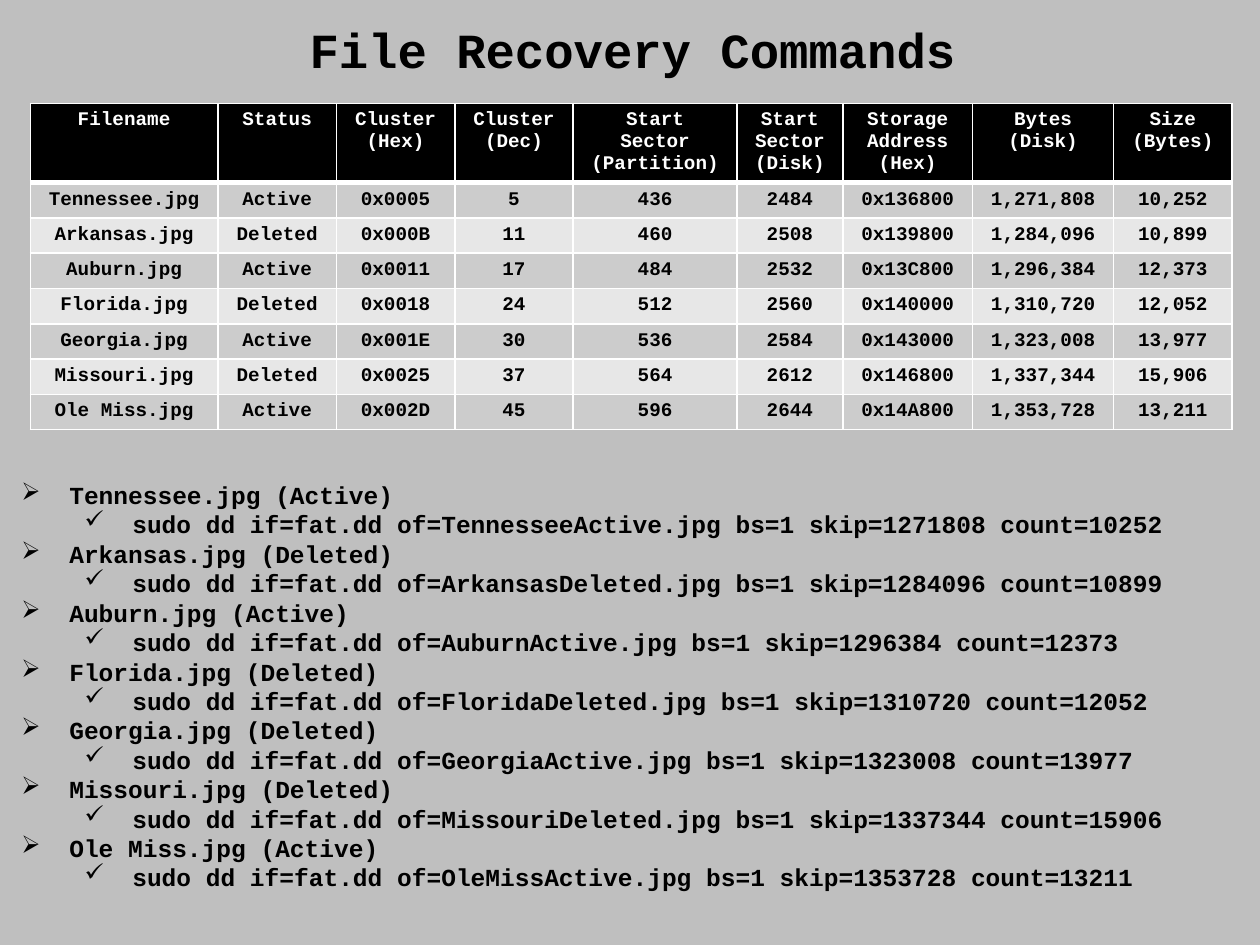
from dataclasses import dataclass

from lxml import etree
from pptx import Presentation
from pptx import util as u
from pptx.dml.color import RGBColor
from pptx.enum import text
from pptx.oxml import ns


@dataclass(frozen=True)
class Theme:
    font: str = "Courier New"
    background: str = "BFBFBF"
    ink: str = "000000"
    paper: str = "FFFFFF"
    bands: tuple = ("CCCCCC", "E7E7E7")
    title_size: int = 28
    body_size: int = 14
    table_size: int = 11
    thin: int = 1
    thick: int = 3


HEADERS = ["Filename", "Status", "Cluster\n(Hex)", "Cluster\n(Dec)",
           "Start\nSector\n(Partition)", "Start\nSector\n(Disk)",
           "Storage\nAddress\n(Hex)", "Bytes\n(Disk)", "Size\n(Bytes)"]
FILES = [
    ["Tennessee.jpg", "Active", "0x0005", "5", "436", "2484", "0x136800", "1,271,808", "10,252"],
    ["Arkansas.jpg", "Deleted", "0x000B", "11", "460", "2508", "0x139800", "1,284,096", "10,899"],
    ["Auburn.jpg", "Active", "0x0011", "17", "484", "2532", "0x13C800", "1,296,384", "12,373"],
    ["Florida.jpg", "Deleted", "0x0018", "24", "512", "2560", "0x140000", "1,310,720", "12,052"],
    ["Georgia.jpg", "Active", "0x001E", "30", "536", "2584", "0x143000", "1,323,008", "13,977"],
    ["Missouri.jpg", "Deleted", "0x0025", "37", "564", "2612", "0x146800", "1,337,344", "15,906"],
    ["Ole Miss.jpg", "Active", "0x002D", "45", "596", "2644", "0x14A800", "1,353,728", "13,211"],
]
COLUMN_WIDTHS = [1.49, 0.94, 0.94, 0.94, 1.3, 0.84, 1.03, 1.12, 0.94]
HEADER_HEIGHT, ROW_HEIGHT = 0.63, 0.28
# The list labels this file differently from the table
LABEL_STATUS = {"Georgia.jpg": "Deleted"}
# Wingdings arrow and check mark, with the left margin of each level
BULLETS = [("Ø", 0.38), ("ü", 0.88)]
HANGING = 0.38


def command_lines():
    """Yield (level, line): a label and its dd command for each file."""
    for row in FILES:
        name, status, skip, count = row[0], row[1], row[-2], row[-1]
        target = name.replace(" ", "").replace(".jpg", f"{status}.jpg")
        yield 0, f"{name} ({LABEL_STATUS.get(name, status)})"
        yield 1, (f"sudo dd if=fat.dd of={target} bs=1 "
                  f"skip={skip.replace(',', '')} count={count.replace(',', '')}")


class SlideBuilder:
    def __init__(self, deck, theme):
        self.theme = theme
        self.slide = deck.slides.add_slide(deck.slide_layouts[1])
        fill = self.slide.background.fill
        fill.solid()
        fill.fore_color.rgb = RGBColor.from_string(theme.background)

    def style(self, para, size, color, align):
        para.alignment = align
        for font in [para.font] + [span.font for span in para.runs]:
            font.name = self.theme.font
            font.size = u.Pt(size)
            font.bold = True
            font.color.rgb = RGBColor.from_string(color)

    def place(self, box, left, top, width, height, anchor):
        box.left, box.top = u.Inches(left), u.Inches(top)
        box.width, box.height = u.Inches(width), u.Inches(height)
        frame = box.text_frame
        frame.word_wrap = True
        frame.auto_size = text.MSO_AUTO_SIZE.NONE
        frame.vertical_anchor = anchor
        return frame

    def title(self, wording, *area):
        frame = self.place(self.slide.shapes.title, *area, text.MSO_ANCHOR.MIDDLE)
        frame.text = wording
        self.style(frame.paragraphs[0], self.theme.title_size, self.theme.ink,
                   text.PP_ALIGN.CENTER)

    def bullet_list(self, lines, *area):
        frame = self.place(self.slide.placeholders[1], *area, text.MSO_ANCHOR.TOP)
        lines = list(lines)
        frame.text = "\n".join(line for _, line in lines)
        for para, (level, _) in zip(frame.paragraphs, lines):
            para.level = level
            para.space_before = para.space_after = u.Pt(0)
            self.bullet(para, *BULLETS[level])
            self.style(para, self.theme.body_size, self.theme.ink, text.PP_ALIGN.LEFT)

    def bullet(self, para, mark, margin):
        properties = para._p.get_or_add_pPr()
        properties.set("marL", str(u.Inches(margin)))
        properties.set("indent", str(-u.Inches(HANGING)))
        etree.SubElement(properties, ns.qn("a:buFont"), typeface="Wingdings")
        etree.SubElement(properties, ns.qn("a:buChar"), char=mark)

    def table(self, rows, left, top):
        heights = [HEADER_HEIGHT] + [ROW_HEIGHT] * (len(rows) - 1)
        grid = self.slide.shapes.add_table(
            len(rows), len(COLUMN_WIDTHS), u.Inches(left), u.Inches(top),
            u.Inches(sum(COLUMN_WIDTHS)), u.Inches(sum(heights))).table
        for column, width in zip(grid.columns, COLUMN_WIDTHS):
            column.width = u.Inches(width)
        for index, (row, height) in enumerate(zip(grid.rows, heights)):
            row.height = u.Inches(height)
            for cell, wording in zip(row.cells, rows[index]):
                self.cell(cell, wording, index)

    def cell(self, cell, wording, row):
        theme = self.theme
        header = row == 0
        cell.text = wording
        for para in cell.text_frame.paragraphs:
            self.style(para, theme.table_size, theme.paper if header else theme.ink,
                       text.PP_ALIGN.CENTER)
        cell.fill.solid()
        cell.fill.fore_color.rgb = RGBColor.from_string(
            theme.ink if header else theme.bands[(row - 1) % 2])
        # The rule under the header is thicker than the grid
        self.borders(cell, L=theme.thin, R=theme.thin,
                     T=theme.thick if row == 1 else theme.thin,
                     B=theme.thick if header else theme.thin)

    def borders(self, cell, **widths):
        properties = cell._tc.get_or_add_tcPr()
        for position, (side, width) in enumerate(widths.items()):
            line = etree.Element(ns.qn(f"a:ln{side}"), w=str(u.Pt(width)))
            fill = etree.SubElement(line, ns.qn("a:solidFill"))
            etree.SubElement(fill, ns.qn("a:srgbClr"), val=self.theme.paper)
            properties.insert(position, line)


def main():
    deck = Presentation()
    deck.slide_width, deck.slide_height = u.Inches(10), u.Inches(7.5)
    page = SlideBuilder(deck, Theme())

    # Heading
    page.title("File Recovery Commands", 0.57, 0.07, 8.9, 0.64)
    # Recovery command for each file
    page.bullet_list(command_lines(), 0.07, 3.76, 9.93, 3.42)
    # File locations and sizes
    page.table([HEADERS] + FILES, 0.24, 0.82)

    deck.save("out.pptx")


if __name__ == "__main__":
    main()
